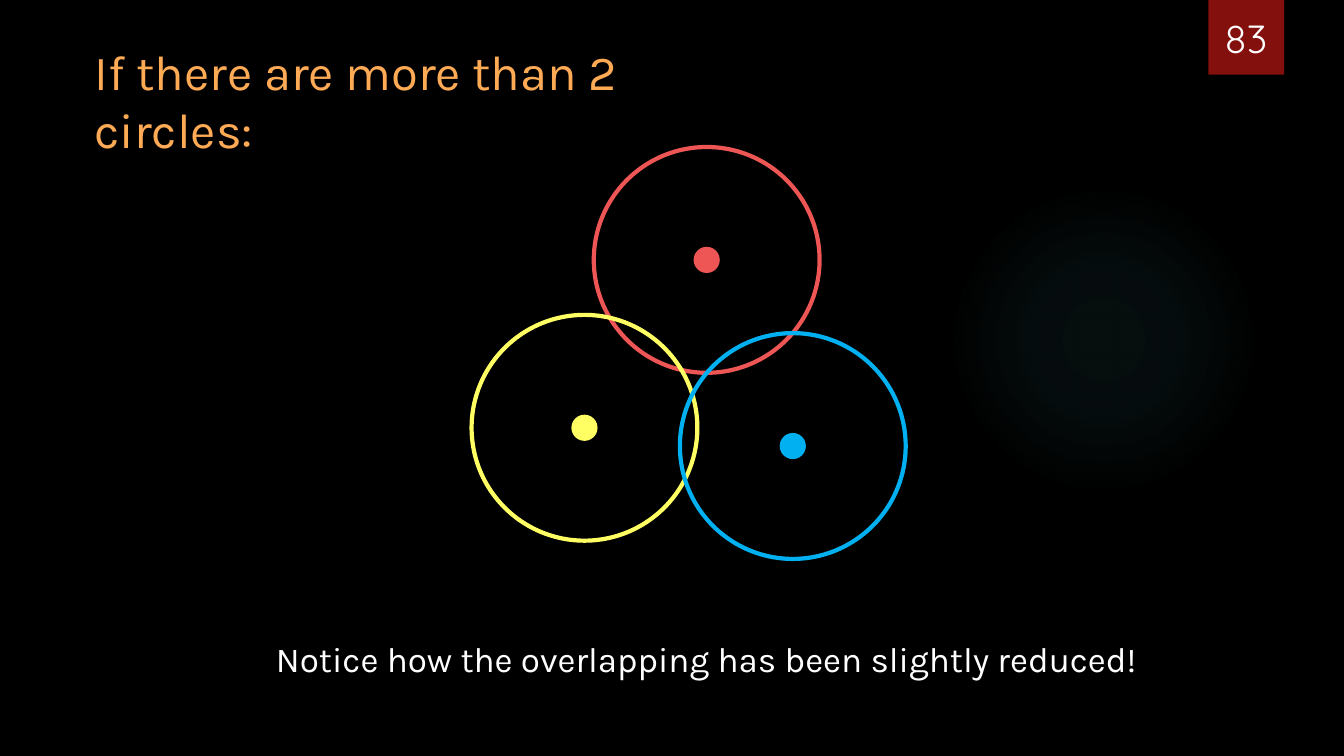
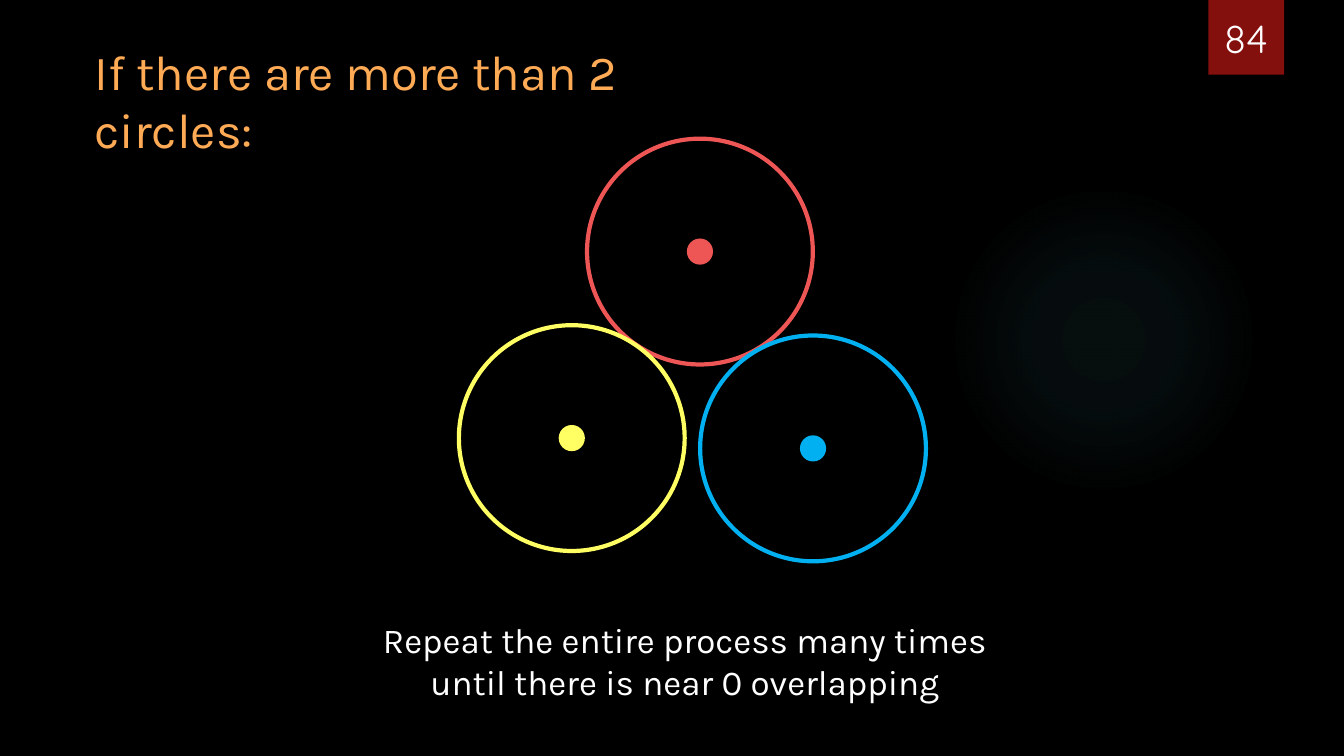
from dataclasses import dataclass

from pptx import Presentation
from pptx.dml.color import RGBColor
from pptx.enum.shapes import MSO_SHAPE
from pptx.enum.text import MSO_ANCHOR, PP_ALIGN
from pptx.oxml import parse_xml
from pptx.oxml.ns import nsdecls, qn
from pptx.util import Cm, Pt

OVAL = MSO_SHAPE.OVAL
RECTANGLE = MSO_SHAPE.RECTANGLE
LEFT, CENTER = PP_ALIGN.LEFT, PP_ALIGN.CENTER
TOP, BOTTOM = MSO_ANCHOR.TOP, MSO_ANCHOR.BOTTOM


@dataclass(frozen=True)
class Theme:
    background: str = "000000"
    badge: str = "84100E"
    glow: str = "50B9C1"
    title: str = "FFAA55"
    text: str = "FFFFFF"
    circles: tuple = ("ED5654", "FFFF64", "00B0F0")
    text_font: str = "Karla"
    number_font: str = "Quicksand"
    title_size: int = 35
    caption_size: int = 25
    number_size: int = 28
    outline: int = 3


THEME = Theme()
SLIDE_SIZE = (33.87, 19.05)
CIRCLE_DIAMETER = 5.69
DOT_DIAMETER = 0.66
GLOW_STOPS = ((0, 7), (36, 6), (69, 0))
TITLE = "If there are more than 2 circles:"

SLIDES = (
    {
        "number": 83,
        "centers": ((17.81, 6.55), (14.73, 10.78), (19.98, 11.24)),
        "caption": ["Notice how the overlapping has been slightly reduced!"],
        "caption_box": (4.65, 15.95, 26.29, 1.32),
    },
    {
        "number": 84,
        "centers": ((17.64, 6.34), (14.41, 11.04), (20.49, 11.3)),
        "caption": [
            "Repeat the entire process many times",
            "until there is near 0 overlapping",
        ],
        "caption_box": (4.11, 15.47, 26.29, 2.39),
    },
)


class Deck:
    def __init__(self, theme):
        self.theme = theme
        self.presentation = Presentation()
        self.presentation.slide_width, self.presentation.slide_height = map(Cm, SLIDE_SIZE)
        self.slide = None

    def add_slide(self, number):
        layout = self.presentation.slide_layouts[6]
        self.slide = self.presentation.slides.add_slide(layout)
        fill = self.slide.background.fill
        fill.solid()
        fill.fore_color.rgb = RGBColor.from_string(self.theme.background)
        self.glow()
        self.shape(self.slide.shapes, RECTANGLE, (30.45, 0, 1.91, 1.88), fill=self.theme.badge)
        self.text([str(number)], (30.23, 0, 2.34, 1.68), self.theme.number_size,
                  self.theme.text, self.theme.number_font, CENTER, BOTTOM)

    def shape(self, shapes, kind, box, fill=None, line=None):
        shape = shapes.add_shape(kind, *map(Cm, box))
        shape.shadow.inherit = False
        for target, color in ((shape.fill, fill), (shape.line.fill, line)):
            if color:
                target.solid()
                target.fore_color.rgb = RGBColor.from_string(color)
            else:
                target.background()
        if line:
            shape.line.width = Pt(self.theme.outline)
        return shape

    def glow(self):
        shape = self.shape(self.slide.shapes, OVAL, (23.9, 4.65, 7.82, 7.82))
        stops = "".join(
            f'<a:gs pos="{position * 1000}"><a:srgbClr val="{self.theme.glow}">'
            f'<a:alpha val="{alpha * 1000}"/></a:srgbClr></a:gs>'
            for position, alpha in GLOW_STOPS
        )
        gradient = parse_xml(
            f'<a:gradFill {nsdecls("a")}><a:gsLst>{stops}</a:gsLst><a:path path="circle">'
            '<a:fillToRect l="50000" t="50000" r="50000" b="50000"/></a:path></a:gradFill>'
        )
        properties = shape.element.spPr
        properties.replace(properties.find(qn("a:noFill")), gradient)

    def text(self, lines, box, size, color, font_name, alignment=LEFT, anchor=TOP):
        frame = self.slide.shapes.add_textbox(*map(Cm, box)).text_frame
        frame.word_wrap = True
        frame.vertical_anchor = anchor
        frame.text = "\n".join(lines)
        font_format = {"name": font_name, "size": Pt(size)}
        for paragraph in frame.paragraphs:
            paragraph.alignment = alignment
            for name, value in font_format.items():
                setattr(paragraph.font, name, value)
            paragraph.font.color.rgb = RGBColor.from_string(color)

    def title(self, words):
        self.text([words], (2.13, 0.91, 17.45, 1.75), self.theme.title_size,
                  self.theme.title, self.theme.text_font)

    def caption(self, lines, box):
        self.text(lines, box, self.theme.caption_size, self.theme.text,
                  self.theme.text_font, CENTER)

    def centered_circle(self, center, color):
        group = self.slide.shapes.add_group_shape()
        for diameter, paint in ((CIRCLE_DIAMETER, {"line": color}),
                                (DOT_DIAMETER, {"fill": color})):
            corner = [position - diameter / 2 for position in center]
            self.shape(group.shapes, OVAL, (*corner, diameter, diameter), **paint)


def main():
    deck = Deck(THEME)
    for content in SLIDES:
        deck.add_slide(content["number"])
        deck.title(TITLE)
        deck.caption(content["caption"], content["caption_box"])
        for center, color in zip(content["centers"], THEME.circles):
            deck.centered_circle(center, color)
    deck.presentation.save("out.pptx")


if __name__ == "__main__":
    main()
